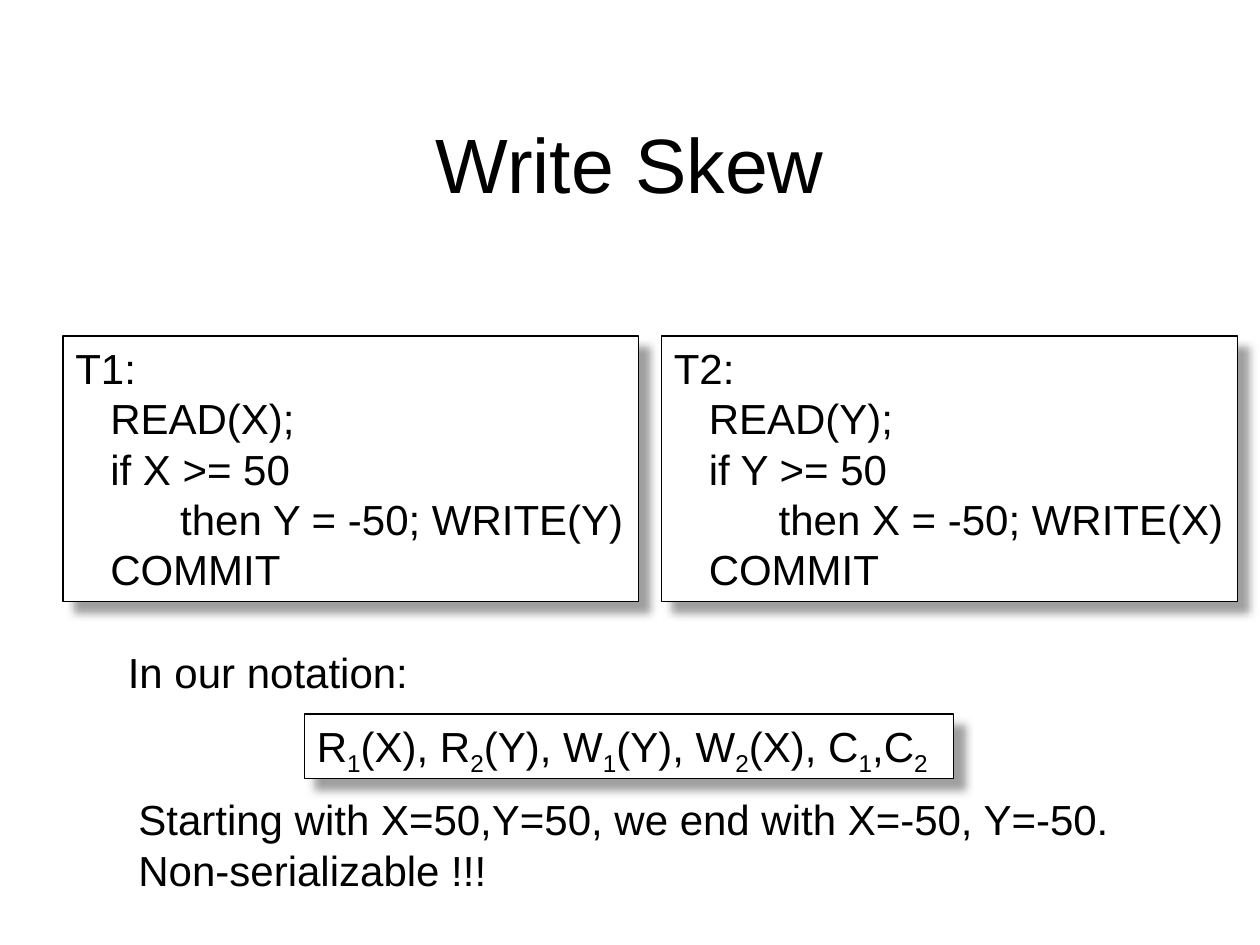
import pptx
import pptx.util
import pptx.dml.color
import pptx.enum.shapes
import pptx.enum.text
import pptx.oxml
import pptx.oxml.ns

Inches, Pt = pptx.util.Inches, pptx.util.Pt
RGB = pptx.dml.color.RGBColor
Align = pptx.enum.text.PP_ALIGN
Anchor = pptx.enum.text.MSO_ANCHOR

BLACK = RGB(0, 0, 0)
WHITE = RGB(255, 255, 255)
GREY = RGB(128, 128, 128)
CELL = 1 / 12  # grid step in inches

# Each transaction: name, item it reads, item it writes
TRANS = [("T1", "X", "Y"), ("T2", "Y", "X")]
CODE = """{0}:
   READ({1});
   if {1} >= 50
         then {2} = -50; WRITE({2})
   COMMIT"""
# Every second part between underscores is a subscript
TRACE = "R_1_(X), R_2_(Y), W_1_(Y), W_2_(X), C_1_,C_2_"
RESULT = """Starting with X=50,Y=50, we end with X=-50, Y=-50.
Non-serializable !!!"""

# text, column, row, width and height in inches, format
ITEMS = [("Write Skew", 9, 8, 8.5, 1.25,
          {"size": 44, "align": Align.CENTER, "anchor": Anchor.MIDDLE})]
ITEMS += [(CODE.format(*tran), 6 + 57 * i, 32, 4.57, 2.11, {"boxed": True})
          for i, tran in enumerate(TRANS)]
ITEMS += [
    ("In our notation:", 11, 61, 2.43, 0.5, {}),
    (TRACE, 29, 68, 5.15, 0.51, {"boxed": True, "wrap": True}),
    (RESULT, 12, 75, 7.91, 0.9, {}),
]
BASE = {"size": 24, "align": Align.LEFT, "anchor": Anchor.TOP,
        "boxed": False, "wrap": False}


def shade(shape):
    """Give the shape a soft shadow to the lower right."""
    shape._element.spPr.append(pptx.oxml.parse_xml(
        f'<a:effectLst {pptx.oxml.ns.nsdecls("a")}>'
        f'<a:outerShdw blurRad="{Pt(5)}" dist="{Pt(8.5)}" dir="2700000" '
        f'algn="tl" rotWithShape="0"><a:srgbClr val="{GREY}">'
        '<a:alpha val="75000"/></a:srgbClr></a:outerShdw></a:effectLst>'))


def write(para, text, size):
    for row, line in enumerate(text.split("\n")):
        if row:
            para.add_line_break()
        for i, part in enumerate(line.split("_")):
            if not part:
                continue
            run = para.add_run()
            run.text = part
            look = {"name": "Arial", "size": Pt(size)}
            for key, val in look.items():
                setattr(run.font, key, val)
            run.font.color.rgb = BLACK
            if i % 2:
                run._r.get_or_add_rPr().set("baseline", "-25000")


def place(slide, text, col, row, wide, high, form):
    form = {**BASE, **form}
    spot = [Inches(v) for v in (col * CELL, row * CELL, wide, high)]
    if form["boxed"]:
        shape = slide.shapes.add_shape(
            pptx.enum.shapes.MSO_SHAPE.RECTANGLE, *spot)
        shape.fill.solid()
        shape.fill.fore_color.rgb = WHITE
        shape.line.color.rgb = BLACK
        shape.line.width = Pt(0.75)
        shade(shape)
    else:
        shape = slide.shapes.add_textbox(*spot)
    frame = shape.text_frame
    for key, val in {"word_wrap": form["wrap"],
                     "vertical_anchor": form["anchor"]}.items():
        setattr(frame, key, val)
    para = frame.paragraphs[0]
    para.alignment = form["align"]
    write(para, text, form["size"])


def main():
    deck = pptx.Presentation()
    deck.slide_width, deck.slide_height = Inches(10), Inches(7.5)
    slide = deck.slides.add_slide(deck.slide_layouts[6])
    for item in ITEMS:
        place(slide, *item)
    deck.save("out.pptx")


if __name__ == "__main__":
    main()
